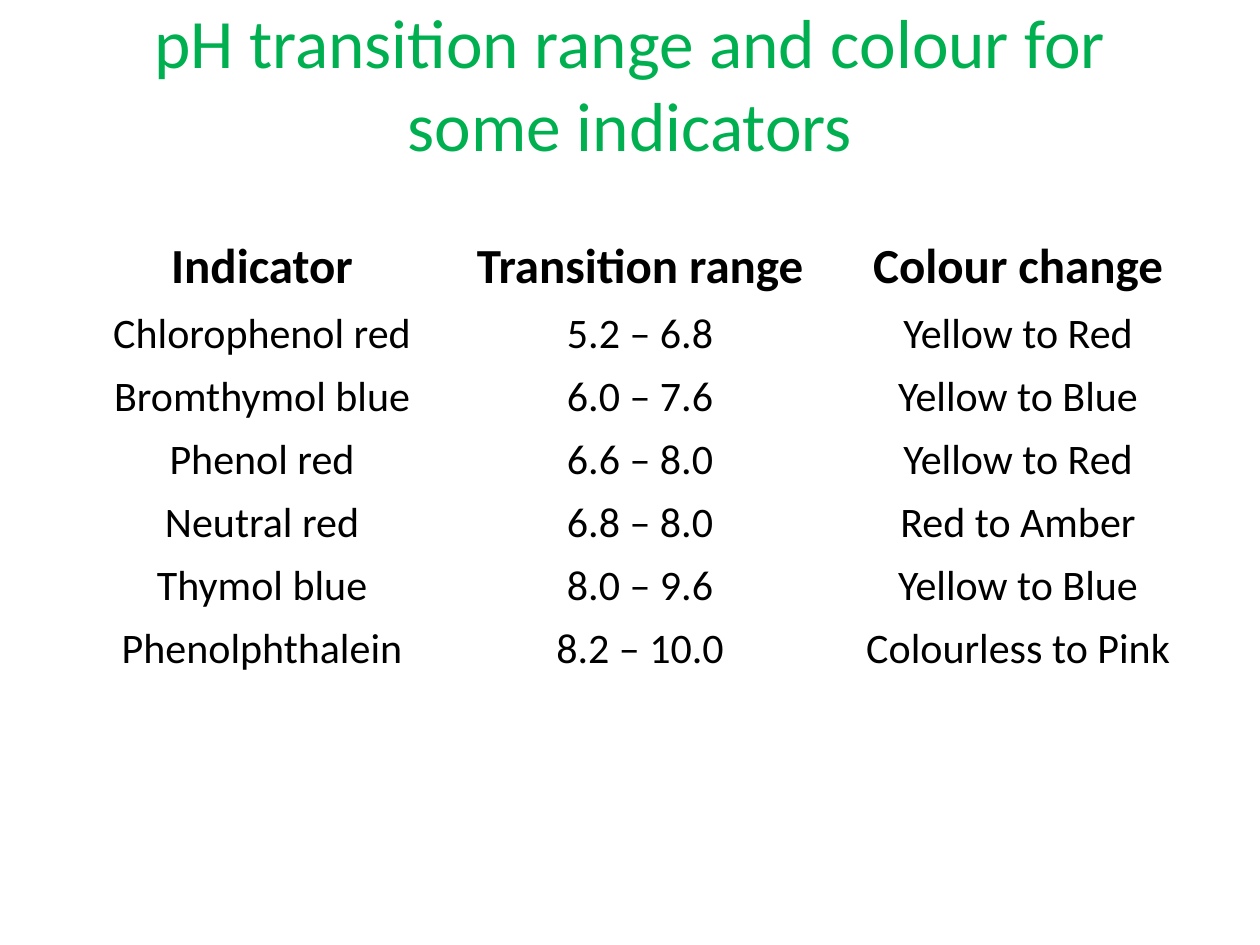
from dataclasses import dataclass

from pptx import Presentation
from pptx.dml.color import RGBColor as RGB
from pptx.enum.text import MSO_ANCHOR as Anchor, PP_ALIGN as Align
from pptx.util import Pt


@dataclass(frozen=True)
class Theme:
    font: str = "Calibri"
    heading: RGB = RGB(0x00, 0xB0, 0x50)
    ink: RGB = RGB(0x00, 0x00, 0x00)
    heading_size: float = 39.6
    header_size: float = 28
    body_size: float = 24


THEME = Theme()

HEADING = "pH transition range and colour for some indicators"
INDICATORS = [
    ("Indicator", "Transition range", "Colour change"),
    ("Chlorophenol red", "5.2 – 6.8", "Yellow to Red"),
    ("Bromthymol blue", "6.0 – 7.6", "Yellow to Blue"),
    ("Phenol red", "6.6 – 8.0", "Yellow to Red"),
    ("Neutral red", "6.8 – 8.0", "Red to Amber"),
    ("Thymol blue", "8.0 – 9.6", "Yellow to Blue"),
    ("Phenolphthalein", "8.2 – 10.0", "Colourless to Pink"),
]


def write_centred(frame, words, size, colour, bold=False):
    line = frame.paragraphs[0]
    line.alignment = Align.CENTER
    run = line.add_run()
    run.text = words
    run.font.name = THEME.font
    run.font.size = Pt(size)
    run.font.bold = bold
    run.font.color.rgb = colour


def add_heading(slide):
    frame = slide.shapes.add_textbox(Pt(36), Pt(21.6), Pt(648), Pt(50.4)).text_frame
    frame.word_wrap = True
    frame.vertical_anchor = Anchor.MIDDLE
    write_centred(frame, HEADING, THEME.heading_size, THEME.heading)


def add_indicator_table(slide):
    column_width, row_height = Pt(216), Pt(29.2)
    columns, rows = len(INDICATORS[0]), len(INDICATORS)
    indicators = slide.shapes.add_table(
        rows, columns, Pt(41.76), Pt(131.76),
        column_width * columns, row_height * rows).table
    indicators.first_row = False
    indicators.horz_banding = False

    for row, entries in enumerate(INDICATORS):
        indicators.rows[row].height = row_height
        is_header = row == 0
        size = THEME.header_size if is_header else THEME.body_size
        for column, entry in enumerate(entries):
            cell = indicators.cell(row, column)
            cell.fill.background()
            write_centred(cell.text_frame, entry, size, THEME.ink, is_header)


def main():
    deck = Presentation()
    deck.slide_width, deck.slide_height = Pt(720), Pt(540)
    slide = deck.slides.add_slide(deck.slide_layouts[6])

    # Heading above the table
    add_heading(slide)

    # Indicators with their range and colours
    add_indicator_table(slide)

    deck.save("out.pptx")


if __name__ == "__main__":
    main()
